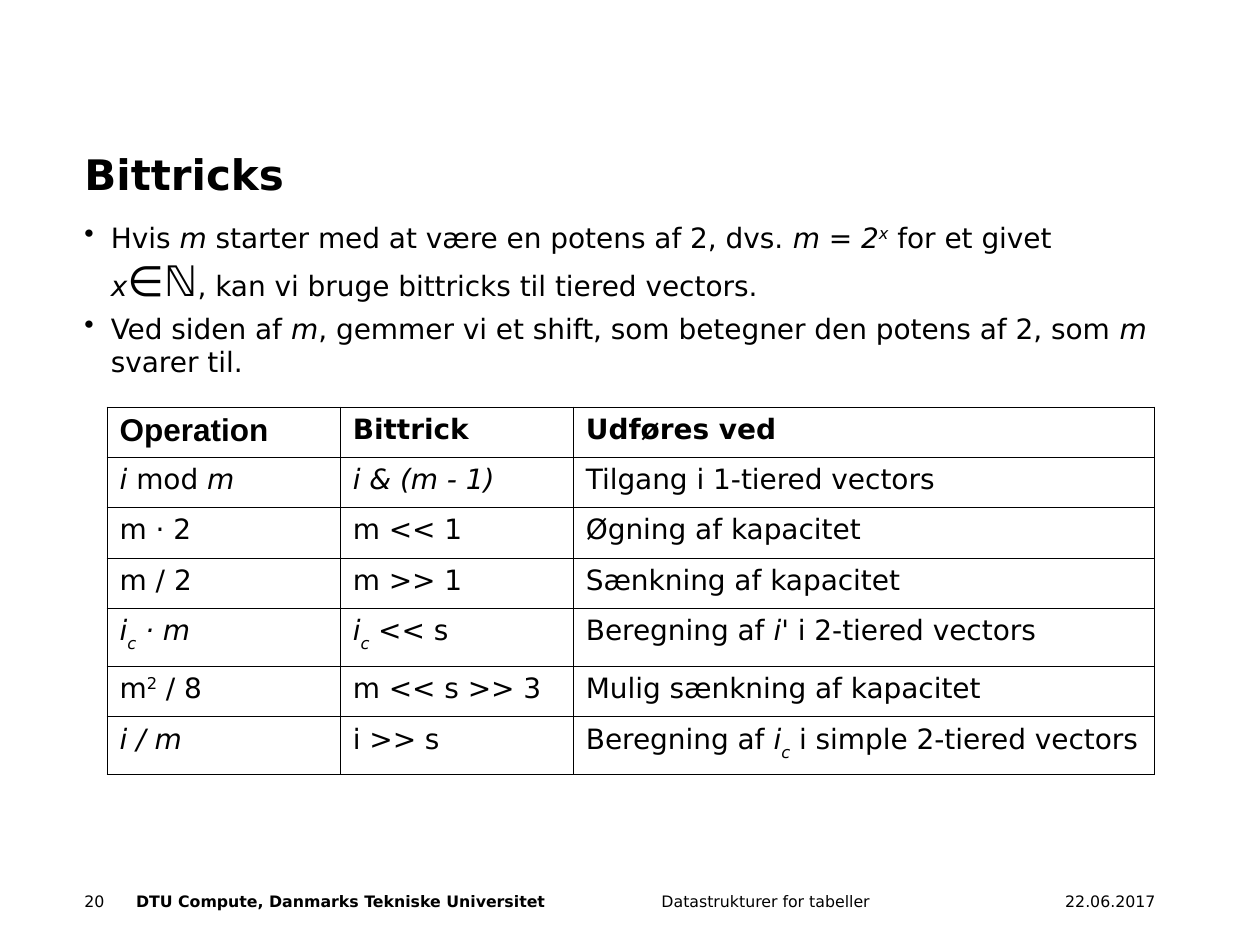
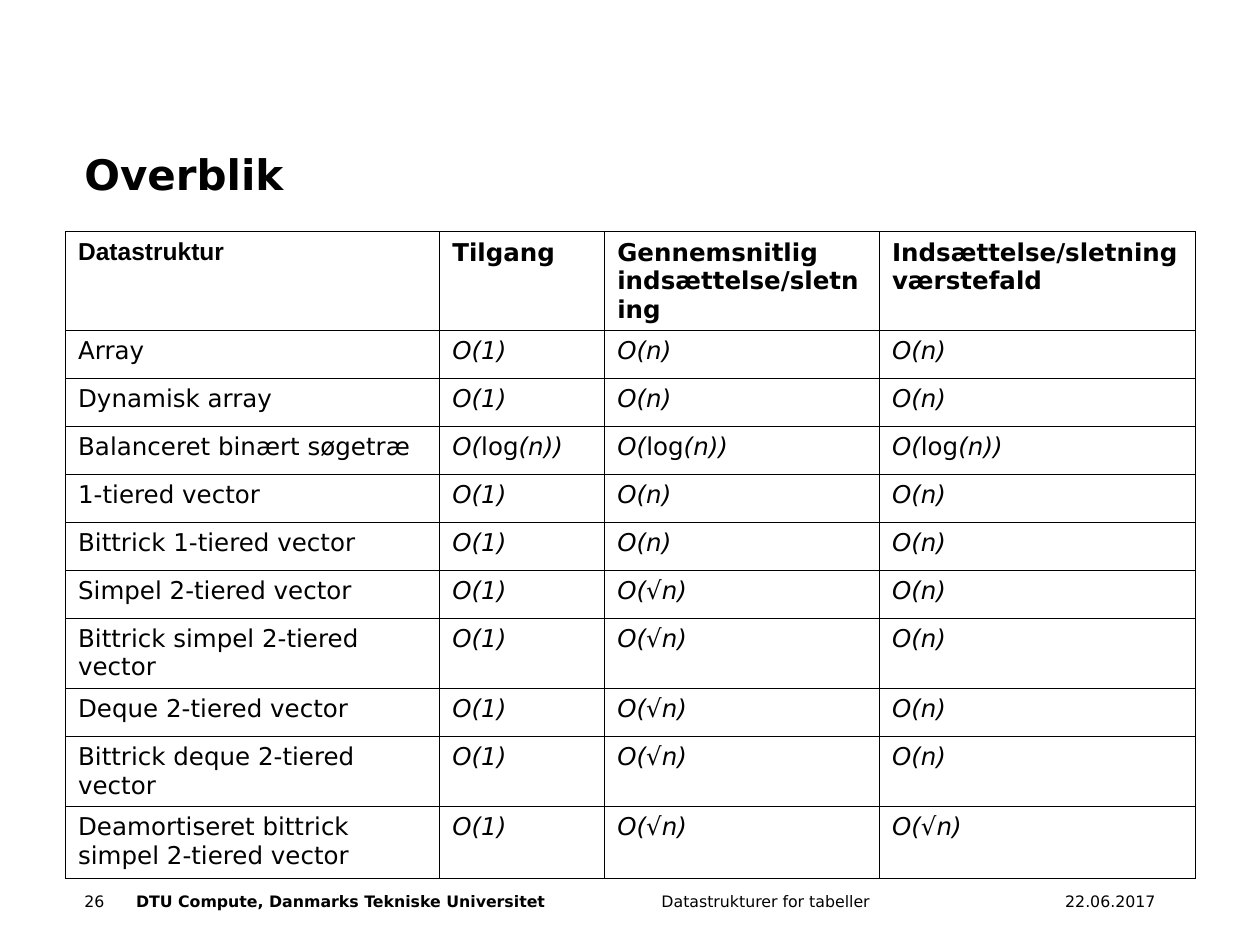
"""Build two slides on bit tricks and data structures for tables."""
from itertools import groupby

from lxml import etree
from pptx import Presentation
from pptx.dml.color import RGBColor
from pptx.enum.text import MSO_ANCHOR, MSO_AUTO_SIZE, PP_ALIGN
from pptx.oxml.ns import qn
from pptx.util import Inches, Pt

BLACK = RGBColor(0, 0, 0)
WHITE = RGBColor(255, 255, 255)
SANS, ARIAL = "DejaVu Sans", "Arial"
LEFT, RIGHT = PP_ALIGN.LEFT, PP_ALIGN.RIGHT
TOP, BOTTOM = MSO_ANCHOR.TOP, MSO_ANCHOR.BOTTOM
FIXED = MSO_AUTO_SIZE.NONE
EDGE, WIDE = 0.67, 8.5
RULE = Pt(0.57)
BIG = 24

# Marks toggle a style: * italic, ^ superscript, _ subscript, ~ big
MARKS = "*^_~"
BASE = {"^": "33000", "_": "-33000"}

POINTS = [
    "Hvis *m* starter med at være en potens af 2, dvs. *m = 2^x^* for et givet "
    "*x~∈ℕ~*, kan vi bruge bittricks til tiered vectors.",
    "Ved siden af *m*, gemmer vi et shift, som betegner den potens af 2, "
    "som *m* svarer til.",
]
TRICKS = [
    ("Operation", "Bittrick", "Udføres ved"),
    ("*i *mod* m*", "*i & (m - 1)*", "Tilgang i 1-tiered vectors"),
    ("m · 2", "m << 1", "Øgning af kapacitet"),
    ("m / 2", "m >> 1", "Sænkning af kapacitet"),
    ("*i_c_ · m*", "*i_c_* << s", "Beregning af *i'* i 2-tiered vectors"),
    ("m^2^ / 8", "m << s >> 3", "Mulig sænkning af kapacitet"),
    ("*i / m*", "i >> s", "Beregning af *i_c_* i simple 2-tiered vectors"),
]
ONE, LIN, ROOT, LOG = "*O(1)*", "*O(n)*", "*O(√n)*", "*O(*log*(n))*"
COSTS = [
    ("Datastruktur", "Tilgang", "Gennemsnitlig indsættelse/sletning",
     "Indsættelse/sletning værstefald"),
    ("Array", ONE, LIN, LIN),
    ("Dynamisk array", ONE, LIN, LIN),
    ("Balanceret binært søgetræ", LOG, LOG, LOG),
    ("1-tiered vector", ONE, LIN, LIN),
    ("Bittrick 1-tiered vector", ONE, LIN, LIN),
    ("Simpel 2-tiered vector", ONE, ROOT, LIN),
    ("Bittrick simpel 2-tiered vector", ONE, ROOT, LIN),
    ("Deque 2-tiered vector", ONE, ROOT, LIN),
    ("Bittrick deque 2-tiered vector", ONE, ROOT, LIN),
    ("Deamortiseret bittrick simpel 2-tiered vector", ONE, ROOT, ROOT),
]
SLIDES = [
    {"title": "Bittricks", "page": "20", "points": POINTS, "rows": TRICKS,
     "at": (0.85, 3.23), "cols": (1.85, 1.85, 4.61),
     "highs": [0.4] * 4 + [0.46, 0.4, 0.46], "size": 16, "first": 18},
    {"title": "Overblik", "page": "26", "points": [], "rows": COSTS,
     "at": (0.52, 1.84), "cols": (2.97, 1.31, 2.18, 2.51),
     "highs": [0.66] + [0.38] * 9 + [0.57], "size": 14, "first": 14},
]
FOOTER = [
    ("22.06.2017", 8.33, 0.84, RIGHT, False),
    ("Datastrukturer for tabeller", 5.25, 3, LEFT, False),
    ("DTU Compute, Danmarks Tekniske Universitet", 1.08, 4.04, LEFT, True),
]


def spans(text):
    """Split marked text into (styles, words) pairs."""
    on, marked = frozenset(), []
    for char in text:
        if char in MARKS:
            on = on ^ {char}
        else:
            marked.append((on, char))
    for styles, group in groupby(marked, key=lambda pair: pair[0]):
        yield styles, "".join(char for _, char in group)


def write(para, text, size, bold=False, face=SANS, align=LEFT):
    """Fill a paragraph with marked text in one font."""
    para.alignment = align
    font = para.font
    font.name, font.size, font.bold = face, Pt(size), bold
    font.color.rgb = BLACK
    for styles, words in spans(text):
        run = para.add_run()
        run.text = words
        if "*" in styles:
            run.font.italic = True
        if "~" in styles:
            run.font.size = Pt(BIG)
        for mark in styles & BASE.keys():
            run._r.get_or_add_rPr().set("baseline", BASE[mark])


def frame(shape, anchor=TOP):
    """Return the shape's text frame, wrapped and without margins."""
    area = shape.text_frame
    area.word_wrap, area.auto_size = True, FIXED
    area.vertical_anchor = anchor
    area.margin_left = area.margin_right = 0
    area.margin_top = area.margin_bottom = 0
    return area


def box(slide, *place):
    """Add a text box and return its frame."""
    return frame(slide.shapes.add_textbox(*map(Inches, place)))


def add_title(slide, text):
    """Place and fill the title."""
    title = slide.shapes.title
    title.left, title.top = Inches(EDGE), Inches(0.33)
    title.width, title.height = Inches(WIDE), Inches(1.25)
    write(frame(title, BOTTOM).paragraphs[0], text, 24, True)


def add_footer(slide, page):
    """Add the footer line with the page number."""
    for text, left, width, align, bold in FOOTER + [(page, EDGE, 0.33, LEFT, False)]:
        area = box(slide, left, 7.08, width, 0.33)
        write(area.paragraphs[0], text, 9, bold, align=align)


def add_points(slide, points):
    """Add the bullet list."""
    area = box(slide, EDGE, 1.75, WIDE, 1.4)
    for index, text in enumerate(points):
        para = area.add_paragraph() if index else area.paragraphs[0]
        props = para._p.get_or_add_pPr()
        props.set("marL", str(Inches(0.21)))
        props.set("indent", str(-Inches(0.21)))
        etree.SubElement(props, qn("a:buChar")).set("char", "•")
        if index:
            para.space_before = Pt(4)
        write(para, text, 16)


def add_rules(cell):
    """Draw a thin line on each side of a cell."""
    props = cell._tc.get_or_add_tcPr()
    for index, side in enumerate("LRTB"):
        line = etree.Element(qn("a:ln" + side), w=str(RULE))
        fill = etree.SubElement(line, qn("a:solidFill"))
        etree.SubElement(fill, qn("a:srgbClr")).set("val", str(BLACK))
        props.insert(index, line)


def add_grid(slide, rows, at, cols, highs, size, first):
    """Add a ruled table with a bold head row."""
    place = map(Inches, (*at, sum(cols), sum(highs)))
    table = slide.shapes.add_table(len(rows), len(cols), *place).table
    table.first_row = table.horz_banding = False
    for col, width in zip(table.columns, cols):
        col.width = Inches(width)
    for row, high in zip(table.rows, highs):
        row.height = Inches(high)
    for y, texts in enumerate(rows):
        for x, text in enumerate(texts):
            cell = table.cell(y, x)
            cell.fill.background()
            add_rules(cell)
            lead = x == y == 0
            write(cell.text_frame.paragraphs[0], text, first if lead else size,
                  y == 0, ARIAL if lead else SANS)


def main():
    """Build and save the slides."""
    deck = Presentation()
    deck.slide_width, deck.slide_height = Inches(10), Inches(7.5)
    back = deck.slide_master.background.fill
    back.solid()
    back.fore_color.rgb = WHITE
    for item in SLIDES:
        slide = deck.slides.add_slide(deck.slide_layouts[5])
        add_footer(slide, item["page"])
        if item["points"]:
            add_points(slide, item["points"])
        add_title(slide, item["title"])
        add_grid(slide, item["rows"], item["at"], item["cols"],
                 item["highs"], item["size"], item["first"])
    deck.save("out.pptx")


if __name__ == "__main__":
    main()
